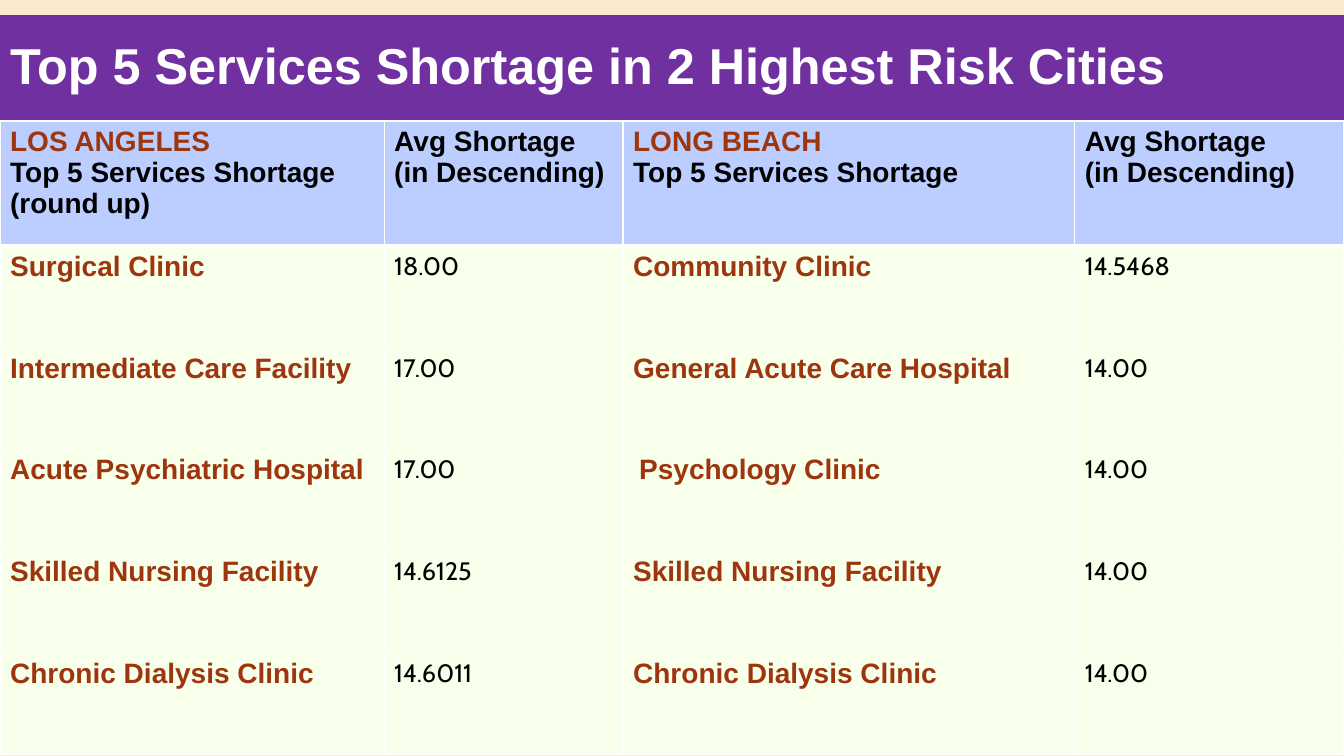
import lxml.etree
import pptx
import pptx.dml.color
import pptx.enum.text
import pptx.oxml.ns
import pptx.util

Inches = pptx.util.Inches
Pt = pptx.util.Pt

RUST, BLACK, WHITE = "9D360E", "000000", "FFFFFF"


def color(value):
    return pptx.dml.color.RGBColor.from_string(value)


class ShortageSlide:
    heading_font = "Arial"
    number_font = "Cabin"
    header_fill = "BBCEFF"
    body_fill = "F8FFEA"

    def __init__(self, presentation, background):
        self.slide = presentation.slides.add_slide(presentation.slide_layouts[5])
        self.slide.background.fill.solid()
        self.slide.background.fill.fore_color.rgb = color(background)

    def format_paragraph(self, paragraph, size, font, text_color, bold):
        paragraph.alignment = pptx.enum.text.PP_ALIGN.LEFT
        for run in paragraph.runs:
            run.font.size = Pt(size)
            run.font.name = font
            run.font.bold = bold
            run.font.color.rgb = color(text_color)

    def title(self, text, left, top, width, height, fill):
        shape = self.slide.shapes.title
        shape.left, shape.top = Inches(left), Inches(top)
        shape.width, shape.height = Inches(width), Inches(height)
        shape.fill.solid()
        shape.fill.fore_color.rgb = color(fill)
        text_frame = shape.text_frame
        text_frame.text = text
        text_frame.word_wrap = True
        text_frame.vertical_anchor = pptx.enum.text.MSO_ANCHOR.MIDDLE
        paragraph = text_frame.paragraphs[0]
        paragraph.line_spacing = 0.9
        self.format_paragraph(paragraph, 36, self.heading_font, WHITE, True)

    def borders(self, cell, widths):
        properties = cell._tc.get_or_add_tcPr()
        for index, (side, width) in enumerate(widths.items()):
            line = lxml.etree.Element(pptx.oxml.ns.qn(f"a:ln{side}"), w=str(Pt(width)))
            fill = lxml.etree.SubElement(line, pptx.oxml.ns.qn("a:solidFill"))
            lxml.etree.SubElement(fill, pptx.oxml.ns.qn("a:srgbClr"), val=WHITE)
            properties.insert(index, line)

    def cell(self, cell, lines, fill, top_border, bottom_border):
        """Each line is a tuple of text, size, font, color and bold."""
        cell.fill.solid()
        cell.fill.fore_color.rgb = color(fill)
        cell.text_frame.text = "\n".join(line[0] for line in lines)
        for paragraph, line in zip(cell.text_frame.paragraphs, lines):
            self.format_paragraph(paragraph, *line[1:])
        self.borders(cell, {"L": 1, "R": 1, "T": top_border, "B": bottom_border})

    def table(self, header, rows, left, top, column_widths, row_heights):
        table = self.slide.shapes.add_table(
            len(row_heights), len(column_widths), Inches(left), Inches(top),
            Inches(sum(column_widths)), Inches(sum(row_heights))).table
        table.horz_banding = False
        for column, width in zip(table.columns, column_widths):
            column.width = Inches(width)
        for row, height in zip(table.rows, row_heights):
            row.height = Inches(height)

        # Header row
        for index, texts in enumerate(header):
            lines = [(text, 20, self.heading_font, text_color, True)
                     for text, text_color in texts]
            self.cell(table.cell(0, index), lines, self.header_fill, 1, 3)

        # Service names alternate with their shortage values
        styles = [(20, self.heading_font, RUST, True),
                  (18, self.number_font, BLACK, False)]
        for row_index, row in enumerate(rows, start=1):
            for index, text in enumerate(row):
                self.cell(table.cell(row_index, index), [(text, *styles[index % 2])],
                          self.body_fill, 3 if row_index == 1 else 1, 1)
        return table


presentation = pptx.Presentation()
presentation.slide_width = Inches(13.33)
presentation.slide_height = Inches(7.5)
shortage = ShortageSlide(presentation, "FCEAD0")

# Title band
shortage.title("Top 5 Services Shortage in 2 Highest Risk Cities",
               0, 0.15, 13.33, 1.05, "7030A0")

# Shortage table
header = [
    [("LOS ANGELES", RUST), ("Top 5 Services Shortage", BLACK), ("(round up)", BLACK)],
    [("Avg Shortage (in Descending)", BLACK)],
    [("LONG BEACH", RUST), ("Top 5 Services Shortage", BLACK)],
    [("Avg Shortage", BLACK), ("(in Descending)", BLACK)],
]
rows = [
    ("Surgical Clinic", "18.00", "Community Clinic", "14.5468"),
    ("Intermediate Care Facility", "17.00", "General Acute Care Hospital", "14.00"),
    ("Acute Psychiatric Hospital", "17.00", "Psychology Clinic", "14.00"),
    ("Skilled Nursing Facility", "14.6125", "Skilled Nursing Facility", "14.00"),
    ("Chronic Dialysis Clinic", "14.6011", "Chronic Dialysis Clinic", "14.00"),
]
table = shortage.table(header, rows, 0, 1.2, [3.81, 2.37, 4.48, 2.67],
                       [1.24] + [1.01] * len(rows))

# Psychology Clinic is slightly indented
table.cell(3, 2).margin_left = Inches(0.16)

presentation.save("out.pptx")
